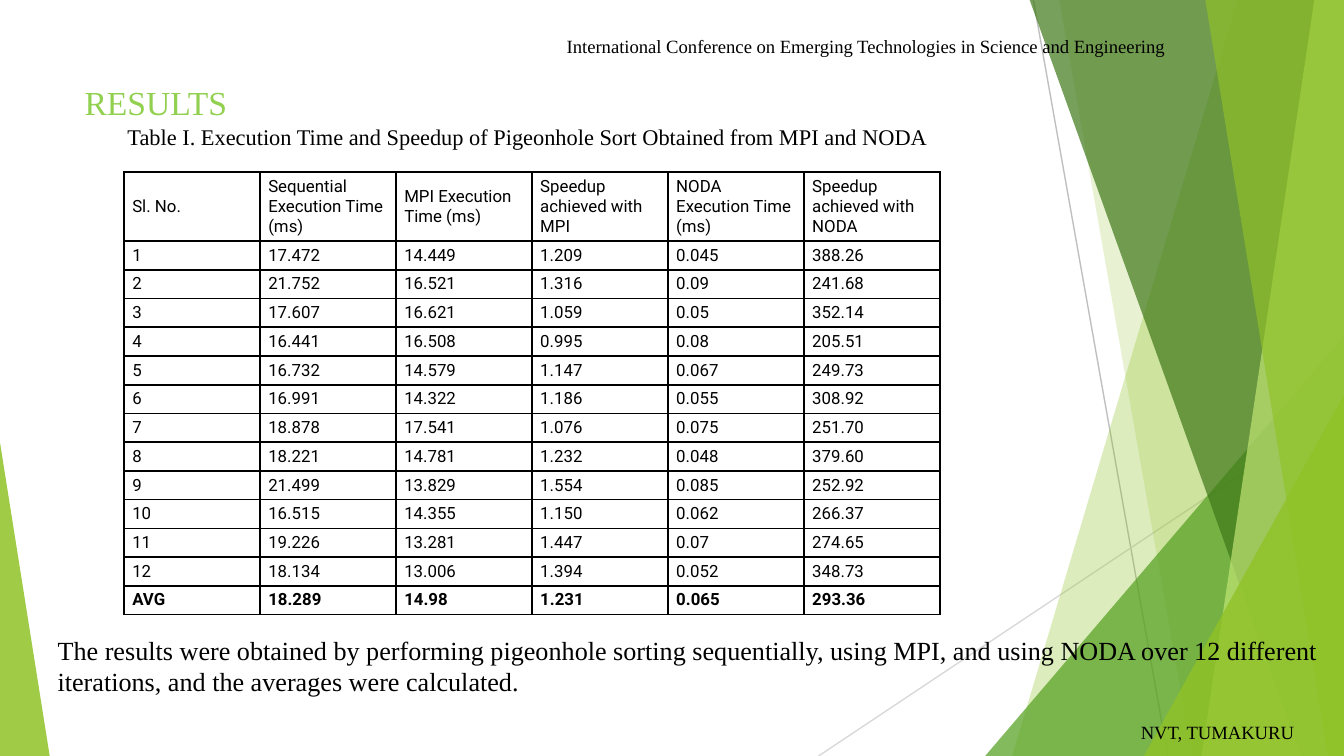
"""Build a results slide with a table of sort timings and speedups."""
from lxml.etree import SubElement
from pptx import Presentation
from pptx.dml.color import RGBColor
from pptx.enum.shapes import MSO_CONNECTOR as CONN, MSO_SHAPE as SHAPE
from pptx.enum.text import MSO_ANCHOR as ANCHOR
from pptx.oxml.ns import qn
from pptx.util import Cm, Pt

COLORS = {
    "black": "000000", "title": "92D050", "lime": "90C226", "green": "54A021",
    "forest": "3F7819", "pale": "C0E474", "gray": "BFBFBF", "silver": "D9D9D9",
}
SERIF, SANS = "Times New Roman", "Roboto"
WIDTH, HEIGHT = 25.4, 14.29

HEADER = ["Sl. No.", "Sequential Execution Time (ms)", "MPI Execution Time (ms)",
          "Speedup achieved with MPI", "NODA Execution Time (ms)",
          "Speedup achieved with NODA"]
RESULTS = [
    ["1", "17.472", "14.449", "1.209", "0.045", "388.26"],
    ["2", "21.752", "16.521", "1.316", "0.09", "241.68"],
    ["3", "17.607", "16.621", "1.059", "0.05", "352.14"],
    ["4", "16.441", "16.508", "0.995", "0.08", "205.51"],
    ["5", "16.732", "14.579", "1.147", "0.067", "249.73"],
    ["6", "16.991", "14.322", "1.186", "0.055", "308.92"],
    ["7", "18.878", "17.541", "1.076", "0.075", "251.70"],
    ["8", "18.221", "14.781", "1.232", "0.048", "379.60"],
    ["9", "21.499", "13.829", "1.554", "0.085", "252.92"],
    ["10", "16.515", "14.355", "1.150", "0.062", "266.37"],
    ["11", "19.226", "13.281", "1.447", "0.07", "274.65"],
    ["12", "18.134", "13.006", "1.394", "0.052", "348.73"],
]
AVERAGES = ["AVG", "18.289", "14.98", "1.231", "0.065", "293.36"]


def rgb(name):
    """Return the named colour."""
    return RGBColor.from_string(COLORS[name])


def style_font(font, name, size, color="black", bold=False):
    """Set the face, size, colour and weight of a font."""
    font.name, font.size, font.bold = name, Pt(size), bold
    font.color.rgb = rgb(color)


def paint(sp, color, opacity):
    """Give a shape a translucent fill with no outline or shadow."""
    sp.shadow.inherit = False
    sp.fill.solid()
    sp.fill.fore_color.rgb = rgb(color)
    sp.line.fill.background()
    clr = sp._element.spPr.find(qn("a:solidFill"))[0]
    SubElement(clr, qn("a:alpha"), val=str(opacity * 1000))


def add_line(slide, x1, y1, x2, y2, color):
    """Draw a thin straight line."""
    line = slide.shapes.add_connector(CONN.STRAIGHT, Cm(x1), Cm(y1), Cm(x2), Cm(y2))
    line.line.color.rgb = rgb(color)
    line.line.width = Pt(0.75)
    SubElement(line._element.spPr, qn("a:effectLst"))


def add_band(slide, top_x, bottom_x, color, opacity):
    """Fill the area from a slanted edge to the right side of the slide."""
    builder = slide.shapes.build_freeform(Cm(top_x), 0)
    builder.add_line_segments([(Cm(WIDTH), 0), (Cm(WIDTH), Cm(HEIGHT)),
                               (Cm(bottom_x), Cm(HEIGHT))])
    paint(builder.convert_to_shape(), color, opacity)


def add_triangle(slide, x, y, width, apex, color, opacity):
    """Draw a triangle that stands on the bottom of the slide."""
    sp = slide.shapes.add_shape(SHAPE.ISOSCELES_TRIANGLE, Cm(x), Cm(y),
                                Cm(width), Cm(HEIGHT - y))
    sp.adjustments[0] = apex
    paint(sp, color, opacity)


def add_text(slide, x, y, width, height, text, size, color="black", wrap=True):
    """Add a one-paragraph text box."""
    tf = slide.shapes.add_textbox(Cm(x), Cm(y), Cm(width), Cm(height)).text_frame
    tf.word_wrap = wrap
    p = tf.paragraphs[0]
    p.text = text
    style_font(p.font, SERIF, size, color)


def add_borders(cell):
    """Draw a black line on each side of a cell."""
    tcPr = cell._tc.get_or_add_tcPr()
    for i, side in enumerate(("lnL", "lnR", "lnT", "lnB")):
        ln = tcPr.makeelement(qn(f"a:{side}"), {"w": str(Pt(1))})
        fill = SubElement(ln, qn("a:solidFill"))
        SubElement(fill, qn("a:srgbClr"), val=COLORS["black"])
        tcPr.insert(i, ln)


def fill_cell(cell, text, bold):
    """Write and style one table cell."""
    cell.fill.background()
    add_borders(cell)
    cell.vertical_anchor = ANCHOR.MIDDLE
    cell.margin_left = cell.margin_right = Cm(0.16)
    cell.margin_top = cell.margin_bottom = Cm(0.08)
    p = cell.text_frame.paragraphs[0]
    p.text = text
    style_font(p.font, SANS, 9, bold=bold)


def add_results_table(slide, x, y, col_width, header_height, row_height):
    """Add the table of timings, with the averages in bold."""
    rows = [HEADER, *RESULTS, AVERAGES]
    table = slide.shapes.add_table(
        len(rows), len(HEADER), Cm(x), Cm(y), Cm(col_width * len(HEADER)),
        Cm(header_height + row_height * (len(rows) - 1))).table
    table.first_row = table.horz_banding = False
    for col in table.columns:
        col.width = Cm(col_width)
    for r, values in enumerate(rows):
        table.rows[r].height = Cm(row_height if r else header_height)
        for c, text in enumerate(values):
            fill_cell(table.cell(r, c), text, values is AVERAGES)


def add_backdrop(slide):
    """Draw the green facets and the thin lines behind the content."""
    add_line(slide, 19.53, 0, 22.07, HEIGHT, "gray")
    add_line(slide, WIDTH, 7.67, 15.47, HEIGHT, "silver")
    add_band(slide, 23.39, 19.13, "lime", 30)
    add_band(slide, 20.02, 22.53, "lime", 20)
    add_triangle(slide, 18.62, 6.35, 6.78, 1, "green", 72)
    add_band(slide, 19.46, 24.59, "forest", 70)
    add_band(slide, 24.84, 22.71, "pale", 70)
    add_band(slide, 22.78, 25.1, "lime", 65)
    add_triangle(slide, 21.62, 7.47, 3.78, 1, "lime", 80)
    add_triangle(slide, 0, 8.36, 0.94, 0, "lime", 85)


def main():
    """Build and save the slide."""
    prs = Presentation()
    prs.slide_width, prs.slide_height = Cm(WIDTH), Cm(HEIGHT)
    slide = prs.slides.add_slide(prs.slide_layouts[6])
    add_backdrop(slide)
    add_text(slide, 10.46, 0.53, 12.12, 0.69, "International Conference on "
             "Emerging Technologies in Science and Engineering", 10)
    add_text(slide, 21.31, 13.51, 4.09, 0.69, "NVT, TUMAKURU", 10)
    add_text(slide, 2.16, 2.21, 15.8, 0.76, "Table I. Execution Time and Speedup "
             "of Pigeonhole Sort Obtained from MPI and NODA", 12, wrap=False)
    add_results_table(slide, 2.34, 3.25, 2.57, 1.3, 0.54)
    add_text(slide, 1.35, 1.42, 13.13, 1.02, "RESULTS", 18, "title")
    add_text(slide, 0.84, 11.86, 24.36, 1.45, "The results were obtained by "
             "performing pigeonhole sorting sequentially, using MPI, and using NODA "
             "over 12 different iterations, and the averages were calculated.", 14)
    prs.save("out.pptx")


if __name__ == "__main__":
    main()
